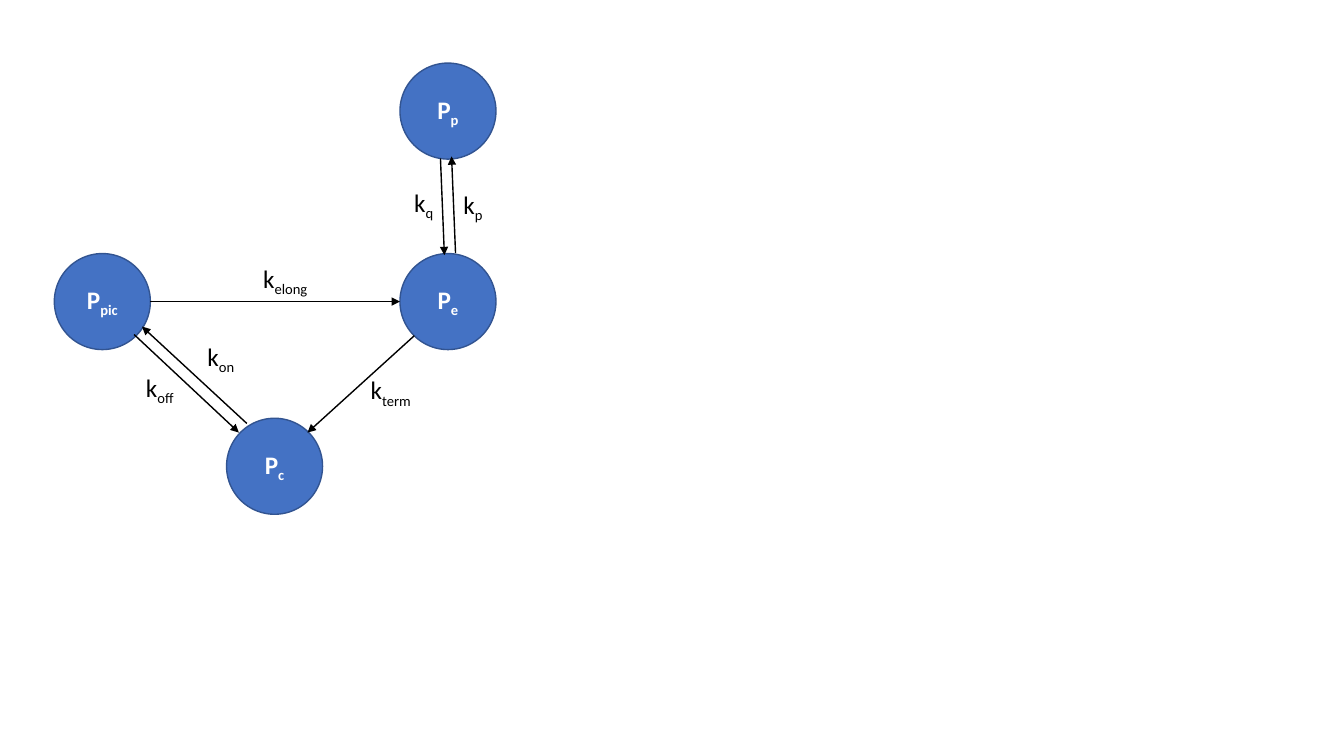
import pptx
import pptx.util
import pptx.dml.color
import pptx.enum.shapes
import pptx.enum.text
import pptx.oxml
import pptx.oxml.ns
import lxml.etree

Cm = pptx.util.Cm
Pt = pptx.util.Pt
RGBColor = pptx.dml.color.RGBColor

BLUE = RGBColor(0x44, 0x72, 0xC4)
DARK_BLUE = RGBColor(0x32, 0x54, 0x91)
WHITE = RGBColor(0xFF, 0xFF, 0xFF)
BLACK = RGBColor(0x00, 0x00, 0x00)

DIAMETER = 2.42
LABEL_HEIGHT = 1.02

STATES = [
    ("c", 6.92, 11.75),
    ("pic", 2.58, 7.6),
    ("e", 11.29, 7.6),
    ("p", 11.29, 2.8),
]
TRANSITIONS = [
    ((6.22, 10.67), (3.58, 8.23)),
    ((3.38, 8.43), (6.02, 10.9)),
    ((10.44, 8.46), (7.75, 10.9)),
    ((3.79, 7.6), (10.08, 7.6)),
    ((11.48, 6.38), (11.38, 3.94)),
    ((11.1, 3.99), (11.2, 6.43)),
]
RATES = [
    ("on", 4.98, 8.48, 1.22),
    ("off", 3.43, 9.25, 1.27),
    ("elong", 6.38, 6.5, 1.75),
    ("term", 9.09, 9.32, 1.65),
    ("p", 11.43, 4.65, 1.02),
    ("q", 10.19, 4.6, 1.02),
]


def apply_format(target, values):
    for name, value in values.items():
        setattr(target, name, value)


def write_symbol(para, letter, subscript, color, bold):
    for text, baseline in ((letter, None), (subscript, "-25000")):
        span = para.add_run()
        span.text = text
        apply_format(span.font, {"name": "Calibri", "size": Pt(18), "bold": bold})
        span.font.color.rgb = color
        if baseline:
            span._r.get_or_add_rPr().set("baseline", baseline)


def add_state(page, subscript, center_x, center_y):
    circle = page.shapes.add_shape(
        pptx.enum.shapes.MSO_SHAPE.OVAL,
        Cm(center_x - DIAMETER / 2), Cm(center_y - DIAMETER / 2),
        Cm(DIAMETER), Cm(DIAMETER))
    circle.shadow.inherit = False
    circle.fill.solid()
    circle.fill.fore_color.rgb = BLUE
    circle.line.color.rgb = DARK_BLUE
    circle.line.width = Pt(1)
    circle.text_frame.vertical_anchor = pptx.enum.text.MSO_ANCHOR.MIDDLE
    para = circle.text_frame.paragraphs[0]
    para.alignment = pptx.enum.text.PP_ALIGN.CENTER
    write_symbol(para, "P", subscript, WHITE, True)


def add_transition(page, start, end):
    arrow = page.shapes.add_connector(
        pptx.enum.shapes.MSO_CONNECTOR.STRAIGHT,
        *[Cm(length) for length in start + end])
    arrow.line.color.rgb = BLACK
    arrow.line.width = Pt(1)
    qualify = pptx.oxml.ns.qn
    lxml.etree.SubElement(
        arrow.line._get_or_add_ln(), qualify("a:tailEnd"), type="triangle")
    lxml.etree.SubElement(arrow._element.spPr, qualify("a:effectLst"))


def add_rate(page, subscript, left, top, width):
    box = page.shapes.add_textbox(Cm(left), Cm(top), Cm(width), Cm(LABEL_HEIGHT))
    apply_format(box.text_frame, {
        "word_wrap": False,
        "auto_size": pptx.enum.text.MSO_AUTO_SIZE.SHAPE_TO_FIT_TEXT,
    })
    write_symbol(box.text_frame.paragraphs[0], "k", subscript, BLACK, False)


def main():
    deck = pptx.Presentation()
    apply_format(deck, {"slide_width": Cm(33.87), "slide_height": Cm(19.05)})
    page = deck.slides.add_slide(deck.slide_layouts[6])
    for state in STATES:
        add_state(page, *state)
    for transition in TRANSITIONS:
        add_transition(page, *transition)
    for rate in RATES:
        add_rate(page, *rate)
    deck.save("out.pptx")


main()
